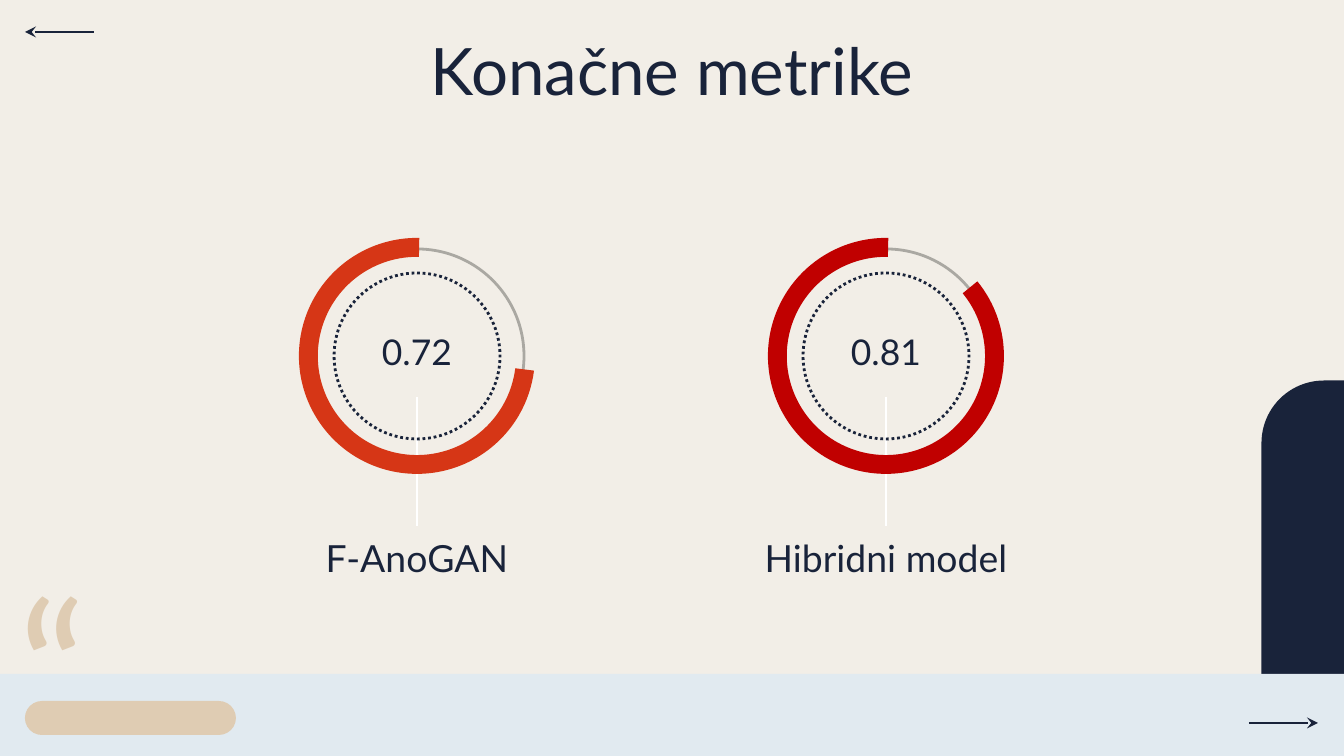
"""Build the final metrics slide with two ring gauges."""
import pptx
import pptx.dml.color
import pptx.enum.dml
import pptx.enum.shapes
import pptx.enum.text
import pptx.oxml.ns
import pptx.util
from lxml import etree

RGBColor = pptx.dml.color.RGBColor
Shape = pptx.enum.shapes.MSO_SHAPE
Anchor = pptx.enum.text.MSO_ANCHOR

CREAM = RGBColor(0xF2, 0xEE, 0xE7)
NAVY = RGBColor(0x19, 0x23, 0x3A)
ICE = RGBColor(0xE1, 0xEA, 0xF0)
SAND = RGBColor(0xDF, 0xCC, 0xB3)
GREY = RGBColor(0xAA, 0xA8, 0xA2)
WHITE = RGBColor(0xFF, 0xFF, 0xFF)
ORANGE = RGBColor(0xD6, 0x36, 0x16)
RED = RGBColor(0xC0, 0x00, 0x00)

EMU_PER_PX = 914400 / 134.4
RING_Y = 356
GAUGES = [
    (417, "0.72", "F-AnoGAN", ORANGE, 4.29),
    (886, "0.81", "Hibridni model", RED, 192.48),
]


def px(length):
    return pptx.util.Emu(round(length * EMU_PER_PX))


def apply_format(target, values):
    for name, value in values.items():
        setattr(target, name, value)


def add_filled(slide, kind, box, color, adjustments=(), rotation=0):
    shape = slide.shapes.add_shape(kind, *map(px, box))
    shape.shadow.inherit = False
    shape.fill.solid()
    shape.fill.fore_color.rgb = color
    shape.line.fill.background()
    shape.rotation = rotation
    for index, value in enumerate(adjustments):
        shape.adjustments[index] = value
    return shape


def add_circle(slide, center_x, radius, color, dash=None):
    box = (center_x - radius, RING_Y - radius, 2 * radius, 2 * radius)
    circle = slide.shapes.add_shape(Shape.OVAL, *map(px, box))
    circle.shadow.inherit = False
    circle.fill.background()
    circle.rotation = 90
    circle.line.color.rgb = color
    apply_format(circle.line, {"width": pptx.util.Pt(1.5), "dash_style": dash})


def add_line(slide, start, end, color, width, arrow=False):
    line = slide.shapes.add_connector(
        pptx.enum.shapes.MSO_CONNECTOR.STRAIGHT, *map(px, start + end))
    line.line.color.rgb = color
    line.line.width = pptx.util.Pt(width)
    qn = pptx.oxml.ns.qn
    if arrow:
        etree.SubElement(line.line._get_or_add_ln(), qn("a:tailEnd"), type="stealth")
    etree.SubElement(line.element.spPr, qn("a:effectLst"))


def write_text(shape, text, size, color=NAVY, anchor=Anchor.MIDDLE, spacing=0.8,
               alignment=pptx.enum.text.PP_ALIGN.CENTER):
    frame = shape.text_frame
    frame.text = text
    inset = pptx.util.Inches(0.1)
    apply_format(frame, {
        "word_wrap": True, "auto_size": pptx.enum.text.MSO_AUTO_SIZE.NONE,
        "vertical_anchor": anchor, "margin_left": inset, "margin_right": inset,
        "margin_top": inset, "margin_bottom": inset})
    paragraph = frame.paragraphs[0]
    apply_format(paragraph, {"alignment": alignment, "line_spacing": spacing})
    font = paragraph.runs[0].font
    apply_format(font, {"name": "Lato", "size": pptx.util.Pt(size)})
    font.color.rgb = color


def add_text(slide, box, text, size, **options):
    write_text(slide.shapes.add_textbox(*map(px, box)), text, size, **options)


def add_title(slide, box, text):
    title = slide.shapes.title
    apply_format(title, dict(zip(("left", "top", "width", "height"), map(px, box))))
    write_text(title, text, 35, anchor=Anchor.TOP)


def add_decoration(slide):
    add_filled(slide, Shape.ROUND_1_RECTANGLE, (1135, 507, 378, 125), NAVY, [0.5], 270)
    add_filled(slide, Shape.RECTANGLE, (0, 674, 1344, 82), ICE)
    add_text(slide, (5, 539, 86, 112), "“", 100, color=SAND, anchor=Anchor.TOP,
             spacing=1.0, alignment=pptx.enum.text.PP_ALIGN.LEFT)
    add_filled(slide, Shape.ROUNDED_RECTANGLE, (25, 701, 211, 34), SAND, [0.5])
    add_line(slide, (1249, 723), (1318, 723), NAVY, 0.75, arrow=True)
    add_line(slide, (94, 32), (25, 32), NAVY, 0.75, arrow=True)


def add_gauge(slide, center_x, value, label, color, start_angle):
    add_circle(slide, center_x, 107, GREY)
    add_line(slide, (center_x, 526), (center_x, 397), WHITE, 1.5)
    add_circle(slide, center_x, 83, NAVY, pptx.enum.dml.MSO_LINE.ROUND_DOT)
    add_text(slide, (center_x - 67, 314, 134, 83), value, 19)
    add_text(slide, (center_x - 173, 526, 346, 71), label, 20)
    add_filled(slide, Shape.BLOCK_ARC, (center_x - 118, RING_Y - 118, 236, 236),
               color, [start_angle, 162.69, 0.08])


def main():
    presentation = pptx.Presentation()
    presentation.slide_width = px(1344)
    presentation.slide_height = px(756)
    slide = presentation.slides.add_slide(presentation.slide_layouts[5])
    slide.background.fill.solid()
    slide.background.fill.fore_color.rgb = CREAM
    add_decoration(slide)
    add_title(slide, (105, 32, 1134, 130), "Konačne metrike")
    for gauge in GAUGES:
        add_gauge(slide, *gauge)
    presentation.save("out.pptx")


if __name__ == "__main__":
    main()
